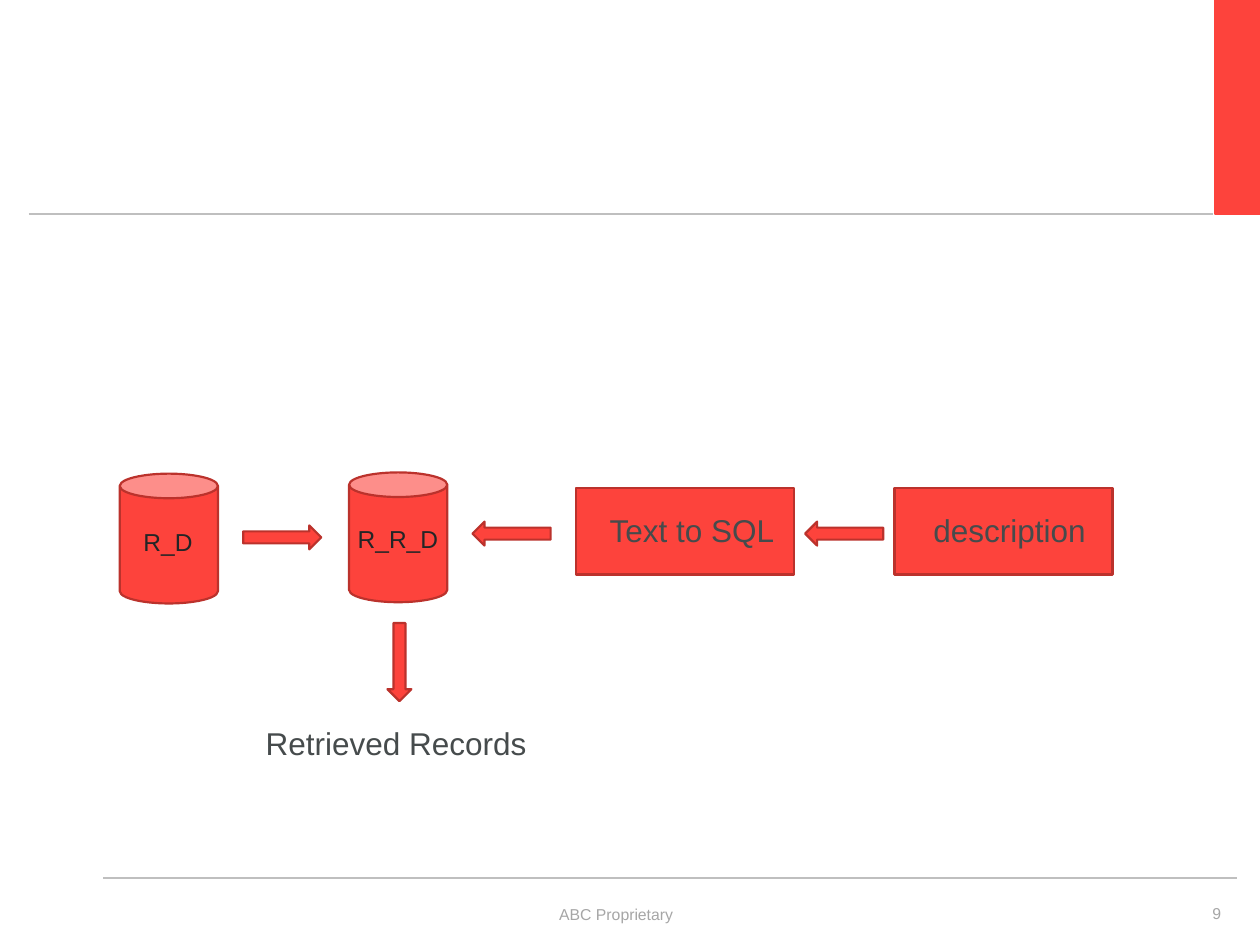
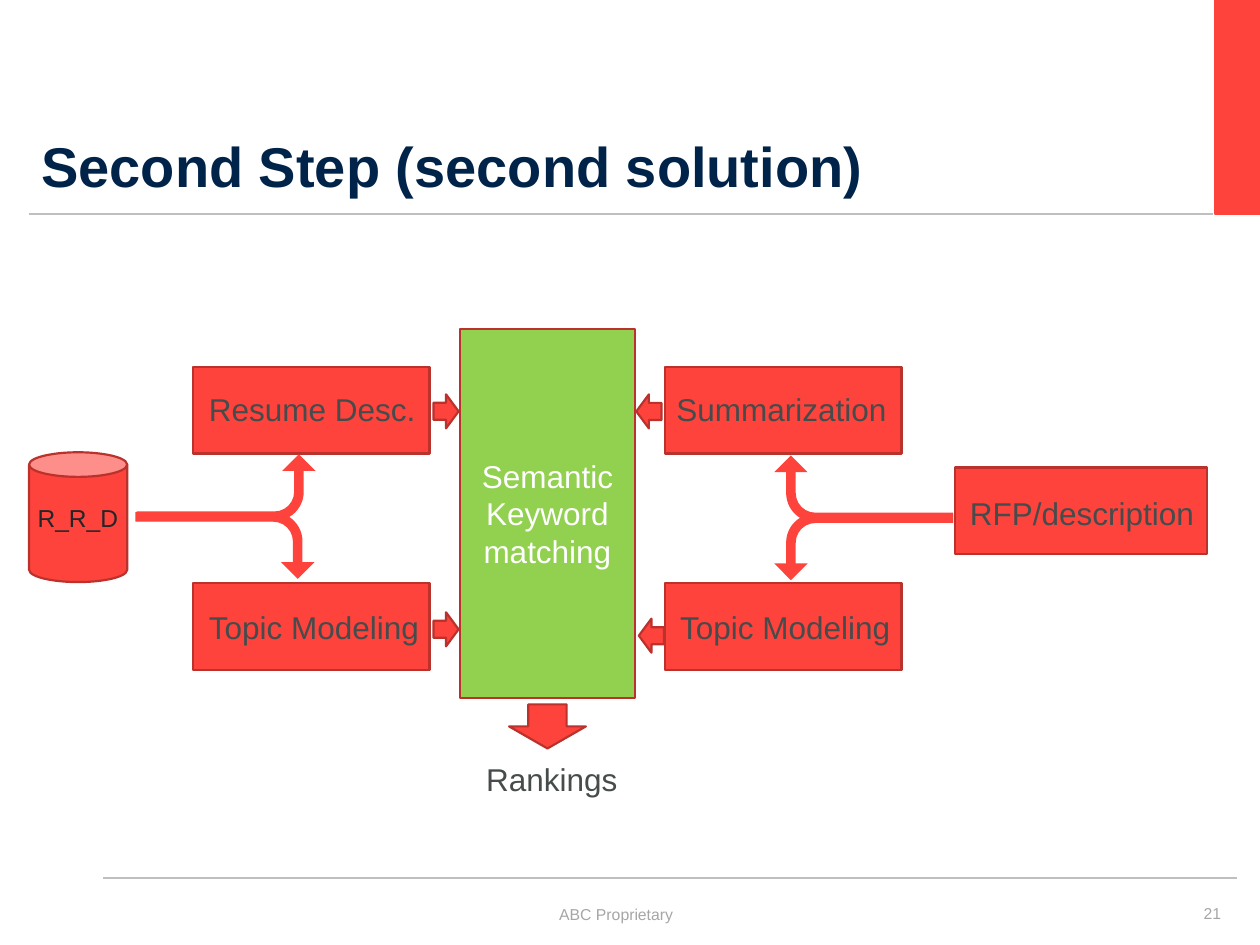
from lxml import etree
from pptx import Presentation
from pptx.dml.color import RGBColor
from pptx.enum.shapes import MSO_CONNECTOR, MSO_SHAPE
from pptx.enum.text import MSO_ANCHOR, MSO_AUTO_SIZE, PP_ALIGN
from pptx.oxml.ns import qn
from pptx.util import Inches, Pt

RECT, CAN = MSO_SHAPE.RECTANGLE, MSO_SHAPE.CAN
ARROW, DOWN, BENT = MSO_SHAPE.RIGHT_ARROW, MSO_SHAPE.DOWN_ARROW, MSO_SHAPE.BENT_ARROW
STRAIGHT = MSO_CONNECTOR.STRAIGHT
TOP, MIDDLE, BOTTOM = MSO_ANCHOR.TOP, MSO_ANCHOR.MIDDLE, MSO_ANCHOR.BOTTOM
LEFT, CENTER, RIGHT = PP_ALIGN.LEFT, PP_ALIGN.CENTER, PP_ALIGN.RIGHT
FIT = MSO_AUTO_SIZE.SHAPE_TO_FIT_TEXT

FONT = "Arial"
COLORS = {
    "red": "FD433C", "edge": "BB322C", "green": "92D050", "rule": "BFBFBF",
    "footer": "A6A6A6", "title": "002349", "label": "464B4C", "store": "232526",
    "white": "FFFFFF",
}
COLORS = {name: RGBColor.from_string(value) for name, value in COLORS.items()}

prs = Presentation()
prs.slide_width, prs.slide_height = Inches(10), Inches(7.5)
COL, ROW = prs.slide_width / 100, prs.slide_height / 75
blank = prs.slide_layouts[6]


def draw(slide, kind, x, y, w, h, fill="red", line="edge", rot=0, flips=()):
    """Add a filled preset shape at grid column x, row y."""
    sp = slide.shapes.add_shape(kind, int(x * COL), int(y * ROW), int(w * COL), int(h * ROW))
    sp.shadow.inherit = False
    sp.fill.solid()
    sp.fill.fore_color.rgb = COLORS[fill]
    if line:
        sp.line.color.rgb = COLORS[line]
        sp.line.width = Pt(1.25)
    else:
        sp.line.fill.background()
    sp.rotation = rot
    for flip in flips:
        sp._element.spPr.xfrm.set(flip, "1")
    return sp


def write(sp, lines, size, color, anchor=TOP, align=LEFT, bold=False, wrap=True):
    """Fill a shape's text frame, one paragraph a line."""
    tf = sp.text_frame
    tf.word_wrap = wrap
    tf.vertical_anchor = anchor
    if not wrap:
        tf.auto_size = FIT
    for i, line in enumerate(lines):
        p = tf.add_paragraph() if i else tf.paragraphs[0]
        p.alignment = align
        r = p.add_run()
        r.text = line
        r.font.name, r.font.size, r.font.bold = FONT, Pt(size), bold
        r.font.color.rgb = COLORS[color]


# Shared frame: corner band, rules and footer
slides = []
for page in ("9", "21"):
    s = prs.slides.add_slide(blank)
    draw(s, RECT, 96.4, 0, 3.6, 17, line="red")
    for x1, x2, y, width in ((2.3, 96.3, 17, 1.25), (8.2, 98.2, 69.7, 1)):
        rule = s.shapes.add_connector(STRAIGHT, int(x1 * COL), int(y * ROW), int(x2 * COL), int(y * ROW))
        rule.line.color.rgb = COLORS["rule"]
        rule.line.width = Pt(width)
        etree.SubElement(rule._element.spPr, qn("a:effectLst"))
    for x, y, w, h, text, align in (
        (88.9, 70.2, 9, 3.5, page, RIGHT),
        (8.9, 70.4, 80, 3.4, "ABC Proprietary", CENTER),
    ):
        tb = s.shapes.add_textbox(int(x * COL), int(y * ROW), int(w * COL), int(h * ROW))
        write(tb, [text], 9, "footer", BOTTOM, align)
    slides.append(s)
retrieval, matching = slides

CARD_H, CAN_W, CAN_H = 6.9, 7.8, 10.3

# Retrieval flow
for x in (45.7, 71):
    draw(retrieval, RECT, x, 38.7, 17.3, CARD_H)
for x, y in ((9.5, 37.6), (27.7, 37.5)):
    draw(retrieval, CAN, x, y, CAN_W, CAN_H)
for x, y, rot in ((19.3, 41.7, 0), (37.5, 41.4, 180), (63.9, 41.4, 180), (28.6, 51.6, 90)):
    draw(retrieval, ARROW, x, y, 6.2, 1.9, rot=rot)

# Matching flow: two cards on each side of the matcher
for x in (15.3, 52.75):
    for y in (29.1, 46.3):
        draw(matching, RECT, x, y, 18.8, CARD_H)
draw(matching, RECT, 75.8, 37.1, 20, CARD_H)
draw(matching, CAN, 2.3, 35.9, CAN_W, CAN_H)
for x, y, rot, flips in (
    (65.9, 31.7, 270, ()),
    (65.9, 36.3, 90, ("flipV",)),
    (15.3, 31.6, 90, ("flipH",)),
    (15.2, 36.2, 270, ("flipH", "flipV")),
):
    branch = draw(matching, BENT, x, y, 5.3, 14.2, line=None, rot=rot, flips=flips)
    for i, share in enumerate((0.144, 0.25, 0.25, 0.438)):
        branch.adjustments[i] = share
matcher = draw(matching, RECT, 36.5, 26.1, 13.9, 29.3, fill="green")
write(matcher, ["Semantic", "Keyword", "matching"], 18, "white", MIDDLE, CENTER)
for x, y, rot in ((34.4, 31.3, 0), (34.4, 48.6, 0), (50.5, 31.3, 180), (50.7, 49.1, 180)):
    draw(matching, ARROW, x, y, 2, 2.7, rot=rot)
draw(matching, DOWN, 40.4, 55.9, 6.1, 3.5)

title = matching.shapes.add_textbox(int(2.3 * COL), int(2.1 * ROW), int(94 * COL), int(14.1 * ROW))
write(title, ["Second Step (second solution)"], 32, "title", BOTTOM, bold=True)
title.text_frame.paragraphs[0].line_spacing = 0.8

# Labels over the shapes: slide, column, row, width, text
stores = (
    (retrieval, 10.4, 41.3, 5.9, "R_D"),
    (retrieval, 27.4, 41.1, 8.5, "R_R_D"),
    (matching, 2, 39.4, 8.5, "R_R_D"),
)
labels = (
    (retrieval, 47.4, 40.1, 15.2, "Text to SQL"),
    (retrieval, 73.1, 40.1, 14.2, "description"),
    (retrieval, 20.1, 57, 23.6, "Retrieved Records"),
    (matching, 15.6, 30.5, 18.6, "Resume Desc."),
    (matching, 15.6, 47.8, 18.8, "Topic Modeling"),
    (matching, 52.7, 30.5, 18.8, "Summarization"),
    (matching, 53, 47.8, 18.8, "Topic Modeling"),
    (matching, 76, 38.7, 20, "RFP/description"),
    (matching, 37.6, 59.8, 12.5, "Rankings"),
)
for group, h, size, color in ((stores, 3.4, 14, "store"), (labels, 4, 18, "label")):
    for s, x, y, w, text in group:
        tb = s.shapes.add_textbox(int(x * COL), int(y * ROW), int(w * COL), int(h * ROW))
        write(tb, [text], size, color, wrap=False)

prs.save("out.pptx")
